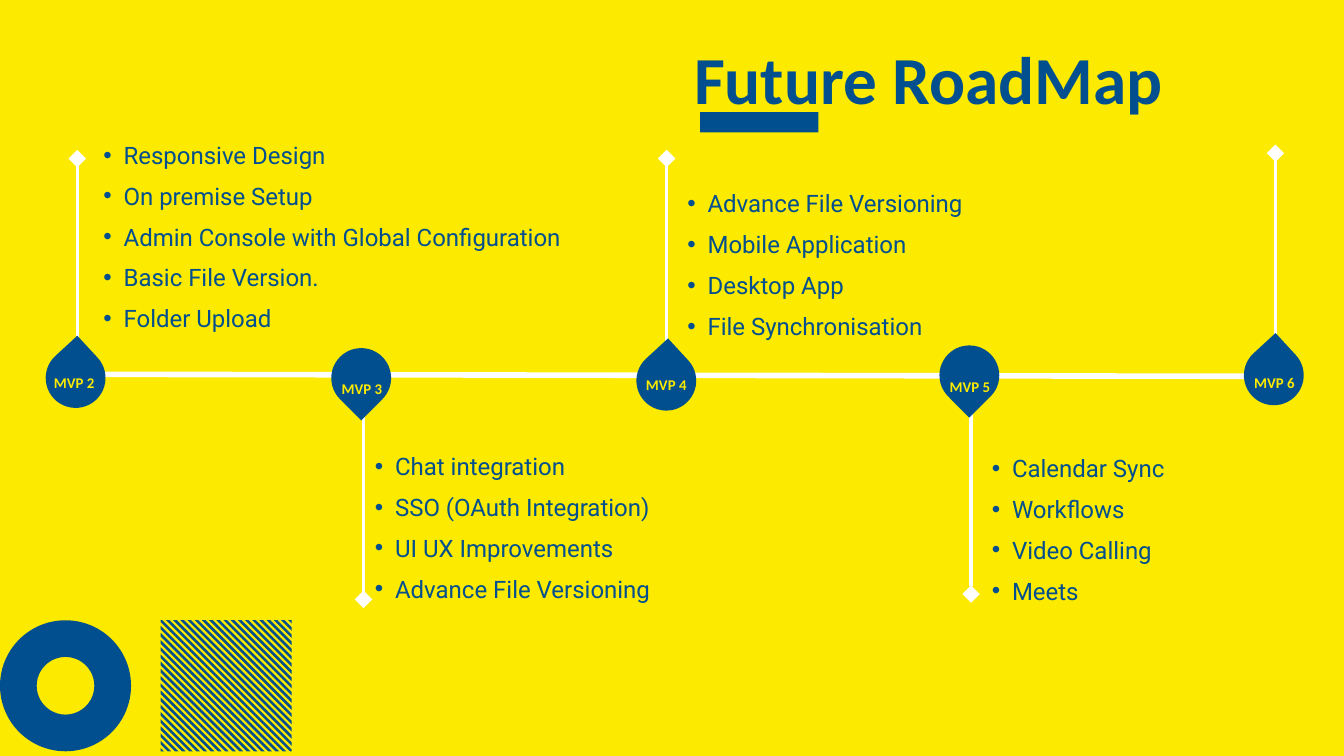
from lxml.etree import SubElement
from pptx import Presentation
from pptx.dml.color import RGBColor
from pptx.enum.shapes import MSO_CONNECTOR, MSO_SHAPE
from pptx.enum.text import MSO_AUTO_SIZE, PP_ALIGN
from pptx.oxml.ns import qn
from pptx.util import Inches, Pt

BLUE = RGBColor(0x01, 0x4F, 0x8E)
YELLOW = RGBColor(0xFC, 0xEA, 0x00)
WHITE = RGBColor(0xFF, 0xFF, 0xFF)

PIN_SIZE = 0.89
STEM_LENGTH = 3.01
LABEL_WIDTH = 1.65
DECOR_TOP, DECOR_SIZE = 9.23, 1.95

# label, pin left, pin top, pin rotation, label left, label top, stem x, stem far end, stem direction
MILESTONES = [
    ("MVP 2", 0.68, 5.18, 317.3, 0.28, 5.45, 1.15, 2.36, 1),
    ("MVP 3", 4.93, 5.18, 135, 4.56, 5.54, 5.41, 8.92, -1),
    ("MVP 4", 9.47, 5.22, 317.3, 9.09, 5.49, 9.92, 2.36, 1),
    ("MVP 5", 13.98, 5.14, 135, 13.61, 5.52, 14.45, 8.84, -1),
    ("MVP 6", 18.51, 5.14, 317.3, 18.14, 5.45, 18.98, 2.28, 1),
]

# left, top, width, height, items
FEATURES = [
    (1.23, 1.91, 7.32, 2.89, ["Responsive Design", "On premise Setup",
                              "Admin Console with Global Configuration",
                              "Basic File Version.", "Folder Upload"]),
    (5.27, 6.54, 5.06, 2.89, ["Chat integration", "SSO (OAuth Integration)",
                              "UI UX Improvements", "Advance File Versioning"]),
    (9.92, 2.63, 4.72, 2.28, ["Advance File Versioning", "Mobile Application",
                              "Desktop App", "File Synchronisation"]),
    (14.45, 6.57, 4.08, 2.28, ["Calendar Sync", "Workflows", "Video Calling", "Meets"]),
]


class RoadmapSlide:
    heading_font = "Calibri"
    body_font = "Roboto"

    def __init__(self, presentation):
        self.slide = presentation.slides.add_slide(presentation.slide_layouts[6])
        self.shapes = self.slide.shapes
        fill = self.slide.background.fill
        fill.solid()
        fill.fore_color.rgb = YELLOW

    def paint(self, shape):
        shape.shadow.inherit = False
        shape.fill.solid()
        shape.fill.fore_color.rgb = BLUE
        shape.line.fill.background()

    def shape(self, kind, left, top, width, height):
        shape = self.shapes.add_shape(
            kind, Inches(left), Inches(top), Inches(width), Inches(height))
        self.paint(shape)
        return shape

    def line(self, start, end, weight):
        connector = self.shapes.add_connector(
            MSO_CONNECTOR.STRAIGHT, *(Inches(value) for value in (*start, *end)))
        connector.line.color.rgb = WHITE
        connector.line.width = Pt(weight)
        outline = connector.line._get_or_add_ln()
        for name in ("a:headEnd", "a:tailEnd"):
            SubElement(outline, qn(name), type="diamond", w="lg", len="lg")
        SubElement(connector._element.spPr, qn("a:effectLst"))

    def text(self, left, top, width, height, lines, size, font, color,
             spacing, align=None, bold=False, bullets=False):
        box = self.shapes.add_textbox(
            Inches(left), Inches(top), Inches(width), Inches(height))
        frame = box.text_frame
        frame.word_wrap = True
        frame.auto_size = MSO_AUTO_SIZE.SHAPE_TO_FIT_TEXT
        frame.margin_left = frame.margin_right = frame.margin_top = frame.margin_bottom = 0
        frame.text = "\n".join(lines)
        for paragraph in frame.paragraphs:
            if bullets:
                self.bullet(paragraph)
            paragraph.alignment = align
            paragraph.line_spacing = spacing
            for run in paragraph.runs:
                run.font.size = Pt(size)
                run.font.name = font
                run.font.bold = bold
                run.font.color.rgb = color

    def bullet(self, paragraph):
        paragraph.level = 1
        properties = paragraph._p.get_or_add_pPr()
        properties.set("marL", str(Inches(0.61)))
        properties.set("indent", str(Inches(-0.3)))
        color = SubElement(properties, qn("a:buClr"))
        SubElement(color, qn("a:srgbClr"), val=str(BLUE))
        SubElement(properties, qn("a:buFont"), typeface="Arial")
        SubElement(properties, qn("a:buChar"), char="•")

    def pin(self, left, top, rotation):
        pin = self.shape(MSO_SHAPE.TEAR, left, top, PIN_SIZE, PIN_SIZE)
        pin.rotation = rotation

    def striped_square(self, left, top, side, stripes_per_half, pitch):
        half = pitch / 4
        outlines = [[(0, 0), (0, half), (side - half, side),
                     (side, side), (side, side - half), (half, 0)]]
        for number in range(1, stripes_per_half + 1):
            near, far = number * pitch - half, number * pitch + half
            below = [(0, near), (0, far), (side - far, side), (side - near, side)]
            outlines += [below, [(y, x) for x, y in below]]

        builder = None
        for outline in outlines:
            points = [(Inches(left + x), Inches(top + y)) for x, y in outline]
            if builder is None:
                builder = self.shapes.build_freeform(*points[0], scale=1.0)
            else:
                builder.move_to(*points[0])
            builder.add_line_segments(points[1:], close=True)
        self.paint(builder.convert_to_shape())


def main():
    presentation = Presentation()
    presentation.slide_width = Inches(20)
    presentation.slide_height = Inches(11.25)
    roadmap = RoadmapSlide(presentation)

    # Timeline with stems and pins
    roadmap.line((1.13, 5.57), (18.88, 5.6), 6)
    for _, left, top, rotation, _, _, stem_x, far_end, direction in MILESTONES:
        roadmap.line((stem_x, far_end + direction * STEM_LENGTH), (stem_x, far_end), 3.75)
        roadmap.pin(left, top, rotation)

    # Feature lists
    for left, top, width, height, items in FEATURES:
        roadmap.text(left, top, width, height, items, 25.7, roadmap.body_font, BLUE,
                     1.42, PP_ALIGN.JUSTIFY, bullets=True)

    # Title and its accent bar
    roadmap.text(10.33, 0.2, 9.85, 1.21, ["Future RoadMap"], 72, roadmap.heading_font,
                 BLUE, 1.3, bold=True)
    roadmap.shape(MSO_SHAPE.RECTANGLE, 10.42, 1.67, 1.76, 0.3)

    # Corner decoration
    roadmap.striped_square(2.39, DECOR_TOP, DECOR_SIZE, 18, 0.107)
    ring = roadmap.shape(MSO_SHAPE.DONUT, 0, DECOR_TOP, DECOR_SIZE, DECOR_SIZE)
    ring.adjustments[0] = 0.28

    # Pin labels
    for label, _, _, _, left, top, *_ in MILESTONES:
        roadmap.text(left, top, LABEL_WIDTH, 0.27, [label], 15.9, roadmap.heading_font,
                     YELLOW, 1.4, PP_ALIGN.CENTER, bold=True)

    presentation.save("out.pptx")


if __name__ == "__main__":
    main()
